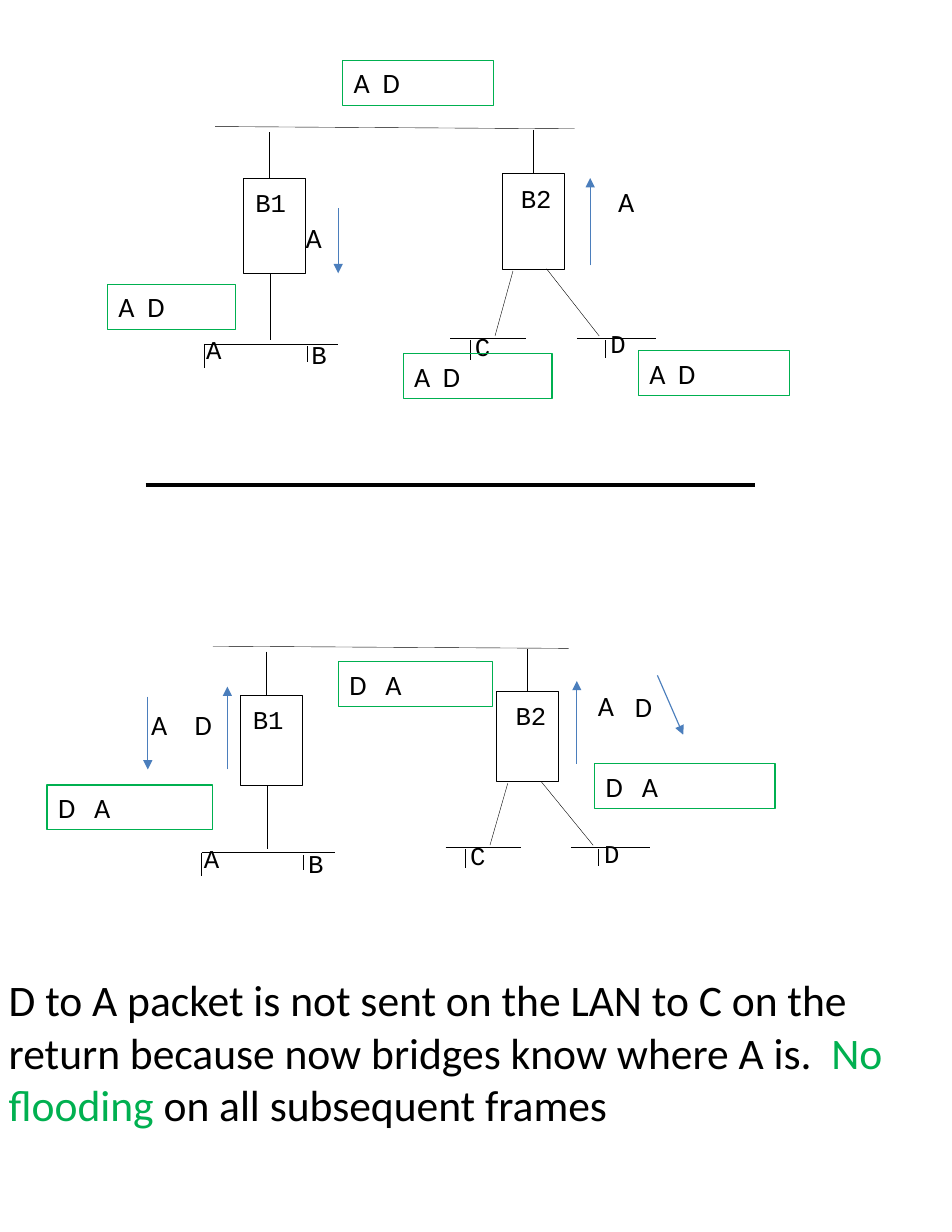
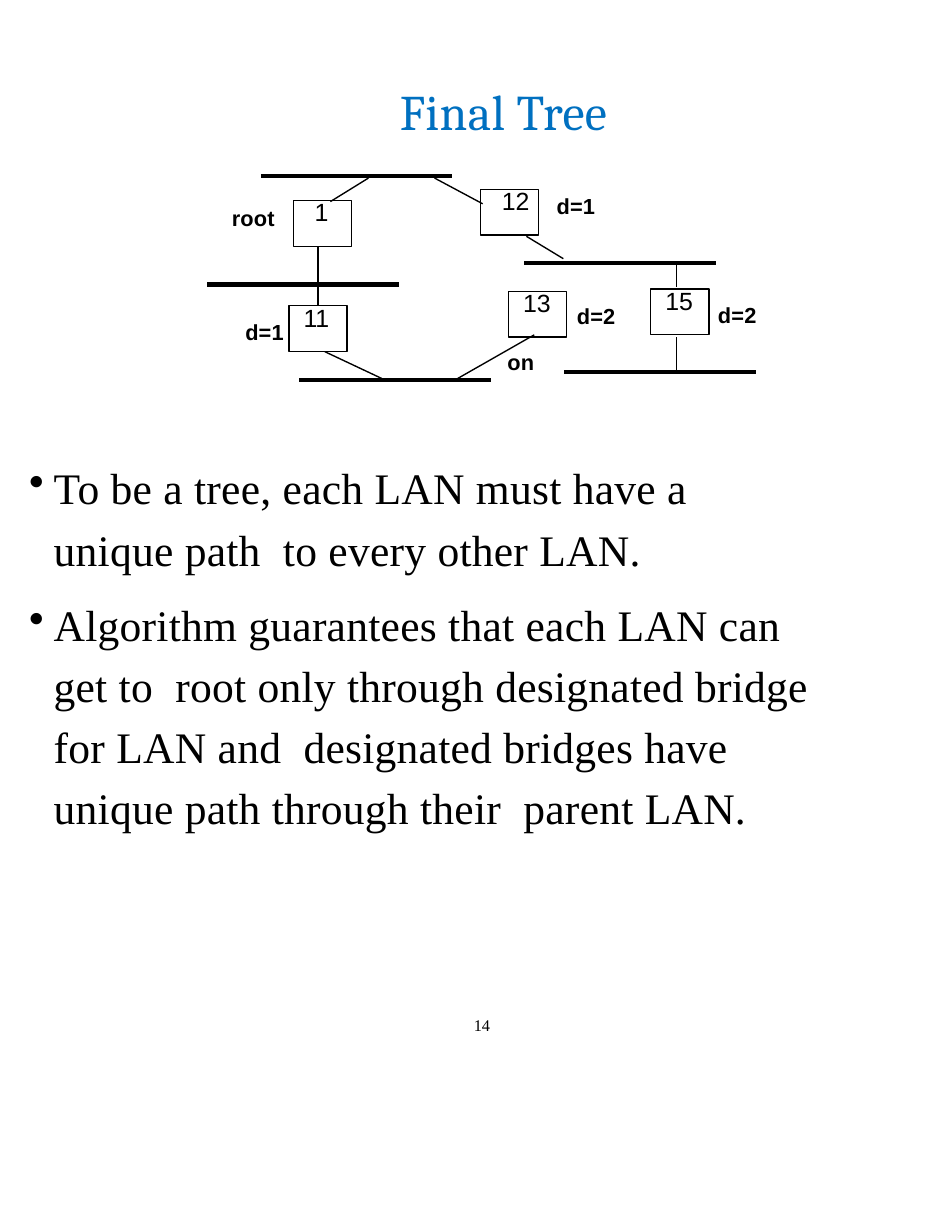
from pptx import Presentation
from pptx.dml.color import RGBColor
from pptx.enum.shapes import MSO_CONNECTOR, MSO_SHAPE
from pptx.enum.text import MSO_ANCHOR, PP_ALIGN
from pptx.oxml.ns import qn
from pptx.util import Inches, Pt
from lxml import etree

STRAIGHT = MSO_CONNECTOR.STRAIGHT
RECT = MSO_SHAPE.RECTANGLE
TOP = MSO_ANCHOR.TOP
LEFT = PP_ALIGN.LEFT

WIDTH, HEIGHT = 8.5, 11
BLACK, GREEN, BLUE, TITLE_BLUE = "000000", "00B050", "4B7EBC", "0070C0"
THIN, BOX_LINE, BUS_LINE = 0.25, 0.89, 2.68
DEFAULT_INSETS = (0.1, 0.05, 0.1, 0.05)
TIGHT = (0.01, 0, 0, 0)


def color(hex_string):
    return RGBColor.from_string(hex_string)


def write(shape, paragraphs, size=18, font="Calibri", bold=False, fill=BLACK,
          spacing=0, line_spacing=None, gap=0, bullet=None,
          insets=DEFAULT_INSETS):
    """Each paragraph is a string or a list of (text, colour) runs."""
    tf = shape.text_frame
    tf.word_wrap = True
    tf.vertical_anchor = TOP
    (tf.margin_left, tf.margin_top,
     tf.margin_right, tf.margin_bottom) = map(Inches, insets)
    for i, content in enumerate(paragraphs):
        p = tf.add_paragraph() if i else tf.paragraphs[0]
        p.alignment = LEFT
        p.line_spacing = line_spacing
        if i:
            p.space_before = Pt(gap)
        if bullet:
            pPr = p._p.get_or_add_pPr()
            pPr.set("marL", str(Inches(0.23)))
            pPr.set("indent", str(-Inches(0.22)))
            etree.SubElement(pPr, qn("a:buChar")).set("char", bullet)
        runs = [(content, fill)] if isinstance(content, str) else content
        for text, run_color in runs:
            r = p.add_run()
            r.text = text
            r.font.size = Pt(size)
            r.font.name = font
            r.font.bold = bold
            r.font.color.rgb = color(run_color)
            if spacing:
                r._r.get_or_add_rPr().set("spc", str(round(spacing * 100)))


def text_box(s, x, y, w, h, *paragraphs, **fmt):
    write(s.shapes.add_textbox(*map(Inches, (x, y, w, h))), paragraphs, **fmt)


def box(s, x, y, w, h, text, line=BLACK, weight=THIN, **fmt):
    sp = s.shapes.add_shape(RECT, *map(Inches, (x, y, w, h)))
    sp.shadow.inherit = False
    sp.fill.background()
    sp.line.color.rgb = color(line)
    sp.line.width = Pt(weight)
    write(sp, [text], **fmt)
    return sp


def line(s, start, end, weight=THIN, fill=BLACK, arrow=False):
    c = s.shapes.add_connector(STRAIGHT, *map(Inches, (*start, *end)))
    c.line.color.rgb = color(fill)
    c.line.width = Pt(weight)
    if arrow:
        tail = etree.SubElement(c.line._get_or_add_ln(), qn("a:tailEnd"))
        tail.set("type", "triangle")
    etree.SubElement(c._element.spPr, qn("a:effectLst"))
    return c


def network(s, x0, y0, sx=1, sy=1):
    """Two bridges and four stations, measured from the left end of the bus."""
    def at(x, y):
        return x0 + x * sx, y0 + y * sy

    courier = dict(size=16.5, font="Courier New")
    bridges = {}
    for name, x, y, indent in (("B1", 0.25, 0.46, 0.11),
                               ("B2", 2.56, 0.42, 0.17)):
        bridges[name] = box(s, *at(x, y), 0.56 * sx, 0.85 * sy, name,
                            insets=(indent, 0.08, 0, 0), **courier)

    for start, end in (
            ((0, 0), (3.21, 0.02)),           # shared bus
            ((0.48, 0.05), (0.48, 0.46)),     # B1 to bus
            ((0.49, 1.31), (0.49, 1.91)),     # B1 to its LAN
            ((2.66, 1.29), (2.5, 1.87)),      # B2 to the LAN of C
            ((2.96, 1.27), (3.43, 1.87)),     # B2 to the LAN of D
            ((-0.1, 1.94), (1.1, 1.94)),
            ((2.1, 1.89), (2.78, 1.89)),
            ((3.23, 1.89), (3.94, 1.89))):
        line(s, at(*start), at(*end))
    uplink = line(s, at(2.84, 0.03), at(2.84, 0.42))
    uplink.end_connect(bridges["B2"], 0)

    for name, x, y, drop, label_x, label_y in (
            ("A", -0.1, 1.94, 0.22, -0.09, 1.85),
            ("B", 0.82, 1.96, 0.14, 0.85, 1.9),
            ("C", 2.28, 1.91, 0.17, 2.31, 1.82),
            ("D", 3.48, 1.91, 0.16, 3.52, 1.8)):
        line(s, at(x, y), at(x, y + drop))
        text_box(s, *at(label_x, label_y), 0.19, 0.46, name,
                 insets=TIGHT, **courier)


def packets(s, text, places):
    for x, y, w in places:
        box(s, x, y, w, 0.4, text, line=GREEN, weight=0.75)


def learned(s, labels, arrows):
    """Addresses a bridge has learned, and arrows to the side they are on."""
    for name, x, y in labels:
        text_box(s, x, y, 0.52, 0.4, name)
    for start, end in arrows:
        line(s, start, end, 0.75, BLUE, arrow=True)


def flooding_slide(s):
    network(s, 1.92, 1.13)
    packets(s, "A  D", [(3.06, 0.54, 1.35), (0.96, 2.54, 1.14),
                        (3.6, 3.16, 1.33), (5.7, 3.13, 1.35)])
    learned(s, [("A", 2.63, 1.92), ("A", 5.42, 1.6)],
            [((3.02, 1.86), (3.02, 2.44)), ((5.27, 2.37), (5.27, 1.59))])

    line(s, (1.3, 4.33), (6.74, 4.33), 2.5)

    network(s, 1.9, 5.77, 0.99, 0.95)
    packets(s, "D   A", [(3.02, 5.91, 1.38), (5.31, 6.82, 1.61),
                         (0.42, 7.01, 1.48)])
    learned(s, [("A", 1.25, 6.27), ("D", 1.64, 6.27),
                ("A", 5.24, 6.1), ("D", 5.57, 6.11)],
            [((1.32, 6.22), (1.32, 6.87)), ((2.03, 6.87), (2.03, 6.13)),
             ((5.15, 6.82), (5.15, 6.08)), ((5.87, 6.03), (6.1, 6.56))])

    text_box(s, -0.02, 8.64, 8.27, 1.51, [
        ("D to A packet is not sent on the LAN to C on the return because "
         "now bridges know where A is.  ", BLACK),
        ("No flooding", GREEN),
        (" on all subsequent frames", BLACK)], size=28)


def tree_slide(s):
    text_box(s, 3.56, 0.72, 2.37, 0.54, "Final Tree", size=32, font="Cambria",
             fill=TITLE_BLUE, spacing=0.25, insets=TIGHT)

    for x, y in ((2.33, 1.57), (1.85, 2.54), (2.67, 3.39),
                 (4.68, 2.35), (5.04, 3.32)):
        line(s, (x, y), (x + 1.71, y), BUS_LINE)

    bridges = {}
    for name, x, y, indent in (("1", 2.62, 1.79, 0.19), ("11", 2.58, 2.73, 0.13),
                               ("12", 4.29, 1.69, 0.19), ("13", 4.54, 2.6, 0.13),
                               ("15", 5.81, 2.58, 0.13)):
        bridges[name] = box(s, x, y, 0.52, 0.41, name, weight=BOX_LINE,
                            size=16, font="Arial", line_spacing=Pt(16.9),
                            insets=(indent, 0, 0, 0))

    for start, end in (((3.29, 1.59), (2.95, 1.8)), ((2.9, 3.14), (3.41, 3.38)),
                       ((3.88, 1.59), (4.31, 1.82)), ((4.7, 2.11), (5.03, 2.31)),
                       ((6.04, 2.34), (6.04, 2.56)), ((6.04, 3.01), (6.04, 3.33)),
                       ((4.77, 2.99), (4.05, 3.4))):
        line(s, start, end, BOX_LINE)
    trunk = line(s, (2.84, 2.2), (2.84, 2.73), BOX_LINE)
    trunk.end_connect(bridges["11"], 0)

    for label, x, y in (("root", 2.06, 1.83), ("on", 4.52, 3.11),
                        ("d=1", 2.18, 2.85), ("d=1", 4.96, 1.72),
                        ("d=2", 5.14, 2.7), ("d=2", 6.4, 2.69)):
        text_box(s, x, y, 0.45, 0.25, label, size=14, font="Arial", bold=True,
                 spacing=0.1, insets=TIGHT)

    text_box(s, 0.25, 4.04, 7.04, 3.42,
             "To be a tree, each LAN must have a unique path  to every other "
             "LAN.",
             "Algorithm guarantees that each LAN can get to  root only through "
             "designated bridge for LAN and  designated bridges have unique "
             "path through their  parent LAN.",
             size=28, font="Times New Roman", spacing=0.2, line_spacing=1.17,
             gap=8.9, bullet="•", insets=(0, 0, 0, 0))
    text_box(s, 4.2, 9.07, 0.21, 0.18, "14", size=10.5, font="Times New Roman",
             line_spacing=Pt(12.3), insets=(0.03, 0, 0, 0))


def main():
    prs = Presentation()
    prs.slide_width, prs.slide_height = Inches(WIDTH), Inches(HEIGHT)
    blank = prs.slide_layouts[6]
    for build in (flooding_slide, tree_slide):
        build(prs.slides.add_slide(blank))
    prs.save("out.pptx")


if __name__ == "__main__":
    main()
